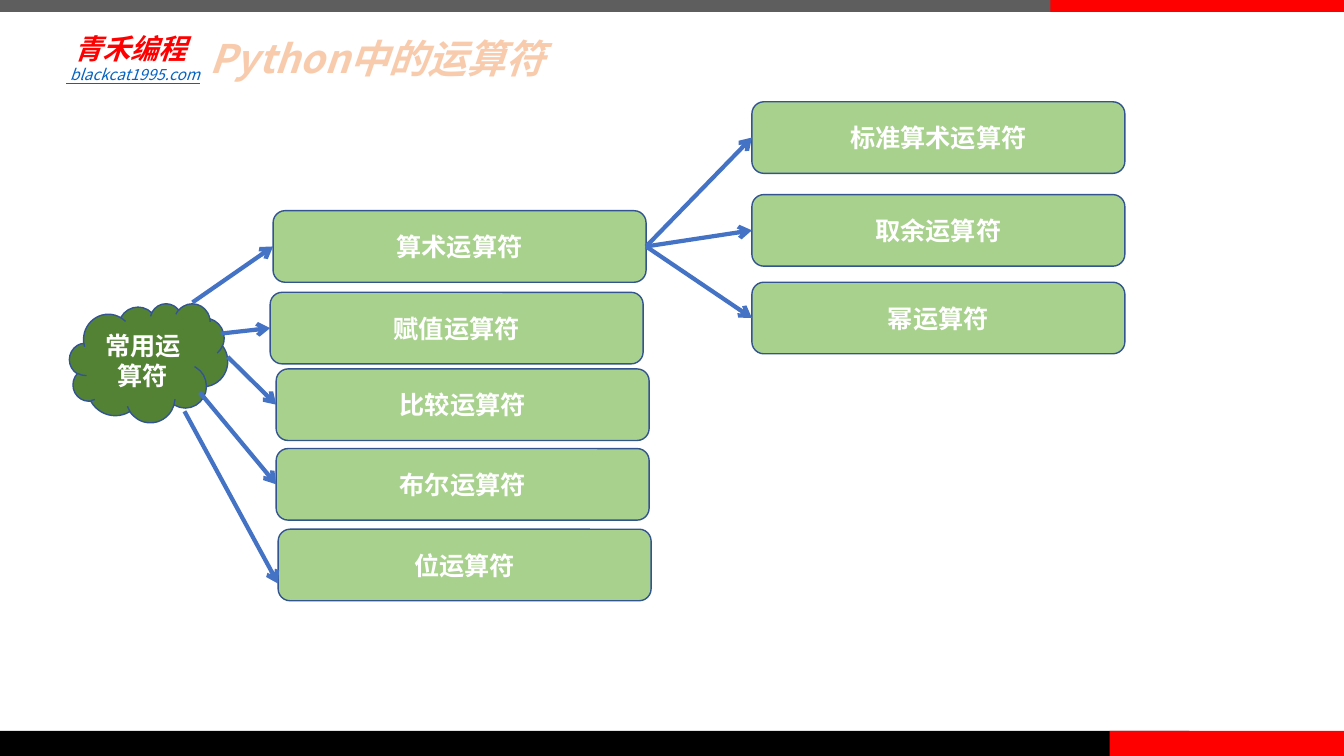
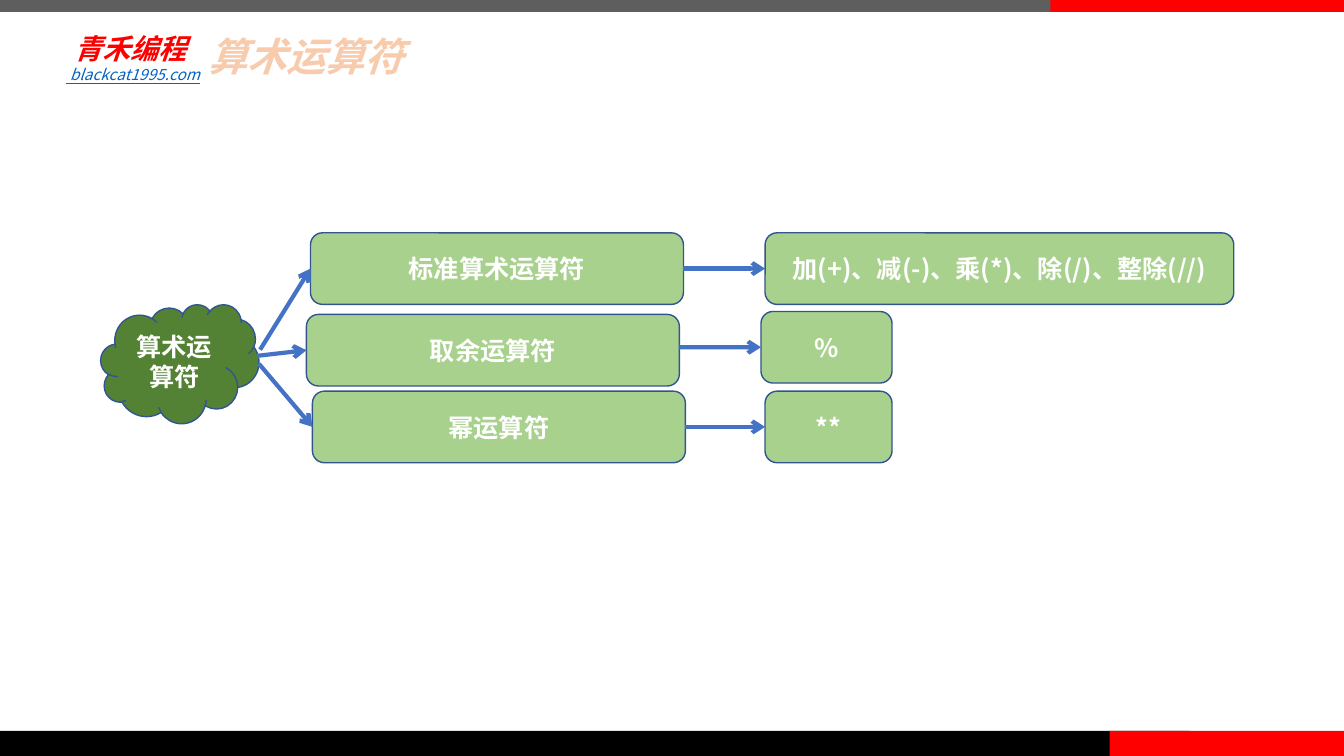
from pptx import Presentation
from pptx.dml.color import RGBColor
from pptx.enum.shapes import MSO_CONNECTOR, MSO_SHAPE as SHAPE
from pptx.enum.text import MSO_ANCHOR as ANCHOR, PP_ALIGN as ALIGN
from pptx.oxml.ns import qn
from pptx.util import Pt
from lxml.etree import SubElement

WHITE = RGBColor(0xFF, 0xFF, 0xFF)
BLACK = RGBColor(0x00, 0x00, 0x00)
RED = RGBColor(0xFF, 0x00, 0x00)
GREY = RGBColor(0x5E, 0x5E, 0x5E)
PEACH = RGBColor(0xF8, 0xCB, 0xAD)
DARK_GREEN = RGBColor(0x54, 0x82, 0x35)
LIGHT_GREEN = RGBColor(0xA9, 0xD1, 0x8E)
OUTLINE = RGBColor(0x32, 0x54, 0x91)
ARROW = RGBColor(0x44, 0x72, 0xC4)
LINK = RGBColor(0x05, 0x63, 0xC1)
FONT = "Noto Sans CJK SC"

SLIDE_W, SLIDE_H = 960, 540
BOX_W, BOX_H = 266.4, 51.1
CLOUD_W, CLOUD_H = 113, 85
LEFT, RIGHT = 1, 3

BANDS = [
    (0, 0, 778.3, 8.6, GREY),
    (0, 522, 849.6, 18, BLACK),
    (792.7, 522, 167.3, 18, RED),
    (750.2, 0, 209.8, 8.6, RED),
]

OVERVIEW = {
    "title": ("Python中的运算符", 142.6, 18),
    "cloud": ("常用运算符", 49.7, 216.7),
    "branches": [
        ("算术运算符", 195.1, 150.5, (137.5, 216)),
        ("赋值运算符", 193, 208.8, (157.7, 238.3)),
        ("比较运算符", 197.3, 263.5, (162.7, 254.9)),
        ("布尔运算符", 197.3, 320.4, (142.6, 280.1)),
        ("位运算符", 198.7, 378, (131.8, 293.8)),
    ],
    "loose_ends": {"位运算符": (198.7, 416.9)},
    "leaves": [
        ("算术运算符", "标准算术运算符", 537.1, 72.7, BOX_W),
        ("算术运算符", "取余运算符", 537.1, 139, BOX_W),
        ("算术运算符", "幂运算符", 537.1, 201.6, BOX_W),
    ],
    "loose_starts": {},
}
ARITHMETIC = {
    "title": ("算术运算符", 141.8, 16.5),
    "cloud": ("算术运算符", 72, 217.4),
    "branches": [
        ("标准算术运算符", 221.8, 166.3, (185.8, 249.8)),
        ("取余运算符", 218.9, 224.6, (183.6, 254.2)),
        ("幂运算符", 223.2, 279.4, (185, 259.9)),
    ],
    "loose_ends": {},
    "leaves": [
        ("标准算术运算符", "加(+)、减(-)、乘(*)、除(/)、整除(//)", 546.5, 166.3, 334.8),
        ("取余运算符", "%", 543.6, 222.5, 93.6),
        ("幂运算符", "**", 546.5, 279.4, 90.7),
    ],
    "loose_starts": {"取余运算符": (485.3, 248)},
}


def write(tf, text, size, color, name=FONT, align=ALIGN.LEFT, **style):
    p = tf.paragraphs[0]
    p.text = text
    p.alignment = align
    p.font.size = Pt(size)
    p.font.name = name
    p.font.color.rgb = color
    for key, value in style.items():
        setattr(p.font, key, value)
    SubElement(p._p.pPr.find(qn("a:defRPr")), qn("a:ea"), typeface=name)
    return p


def add_block(s, kind, x, y, w, h, fill, line=None):
    sp = s.shapes.add_shape(kind, Pt(x), Pt(y), Pt(w), Pt(h))
    sp.shadow.inherit = False
    sp.fill.solid()
    sp.fill.fore_color.rgb = fill
    if line is None:
        sp.line.fill.background()
    else:
        sp.line.color.rgb = line
        sp.line.width = Pt(1)
    return sp


def add_node(s, kind, text, x, y, w, h, fill):
    sp = add_block(s, kind, x, y, w, h, fill, OUTLINE)
    sp.text_frame.vertical_anchor = ANCHOR.MIDDLE
    write(sp.text_frame, text, 18, WHITE, align=ALIGN.CENTER, bold=True)
    return sp


def add_text(s, x, y, w, h, anchor=ANCHOR.TOP):
    tf = s.shapes.add_textbox(Pt(x), Pt(y), Pt(w), Pt(h)).text_frame
    tf.word_wrap = True
    tf.vertical_anchor = anchor
    return tf


def add_arrow(s, start, end):
    points = [Pt(v) for end_point in (start, end)
              for v in (end_point if isinstance(end_point, tuple) else (0, 0))]
    cn = s.shapes.add_connector(MSO_CONNECTOR.STRAIGHT, *points)
    if not isinstance(start, tuple):
        cn.begin_connect(start, RIGHT)
    if not isinstance(end, tuple):
        cn.end_connect(end, LEFT)
    cn.line.color.rgb = ARROW
    cn.line.width = Pt(3)
    SubElement(cn.line._get_or_add_ln(), qn("a:tailEnd"), type="arrow")
    SubElement(cn._element.spPr, qn("a:effectLst"))


def add_frame(s):
    for x, y, w, h, color in BANDS:
        add_block(s, SHAPE.RECTANGLE, x, y, w, h, color)
    tf = add_text(s, 49, 18, 92.2, 32.4, ANCHOR.MIDDLE)
    tf.margin_left = tf.margin_right = tf.margin_top = tf.margin_bottom = Pt(4.3)
    write(tf, "青禾编程", 20, RED, "Arial", bold=True, italic=True)
    tf = add_text(s, 40.3, 43.2, 480.2, 20.9)
    write(tf, " blackcat1995.com", 11, LINK, italic=True, underline=True)


def build_slide(prs, content):
    s = prs.slides.add_slide(prs.slide_layouts[6])
    title, x, y = content["title"]
    tf = add_text(s, x, y, 378.7, 51.1, ANCHOR.MIDDLE)
    p = write(tf, title, 28, PEACH, bold=True, italic=True)
    p.line_spacing = 0.9
    cloud, x, y = content["cloud"]
    add_node(s, SHAPE.CLOUD, cloud, x, y, CLOUD_W, CLOUD_H, DARK_GREEN)

    boxes = {}
    for name, x, y, start in content["branches"]:
        boxes[name] = add_node(s, SHAPE.ROUNDED_RECTANGLE, name, x, y, BOX_W, BOX_H, LIGHT_GREEN)
        add_arrow(s, start, content["loose_ends"].get(name, boxes[name]))
    for parent, text, x, y, w in content["leaves"]:
        leaf = add_node(s, SHAPE.ROUNDED_RECTANGLE, text, x, y, w, BOX_H, LIGHT_GREEN)
        add_arrow(s, content["loose_starts"].get(parent, boxes[parent]), leaf)
    add_frame(s)


def main():
    prs = Presentation()
    prs.slide_width, prs.slide_height = Pt(SLIDE_W), Pt(SLIDE_H)
    for content in (OVERVIEW, ARITHMETIC):
        build_slide(prs, content)
    prs.save("out.pptx")


if __name__ == "__main__":
    main()
